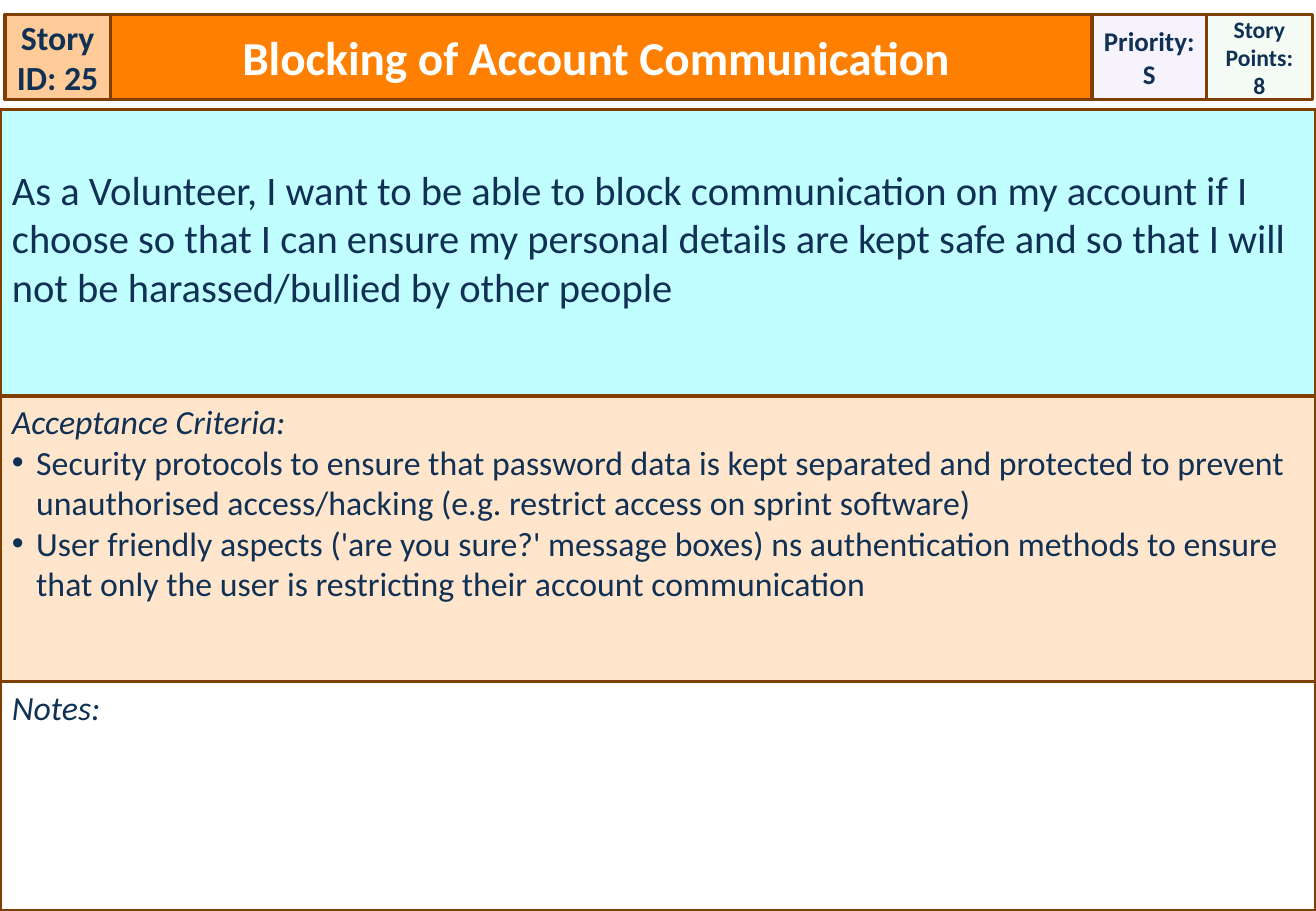
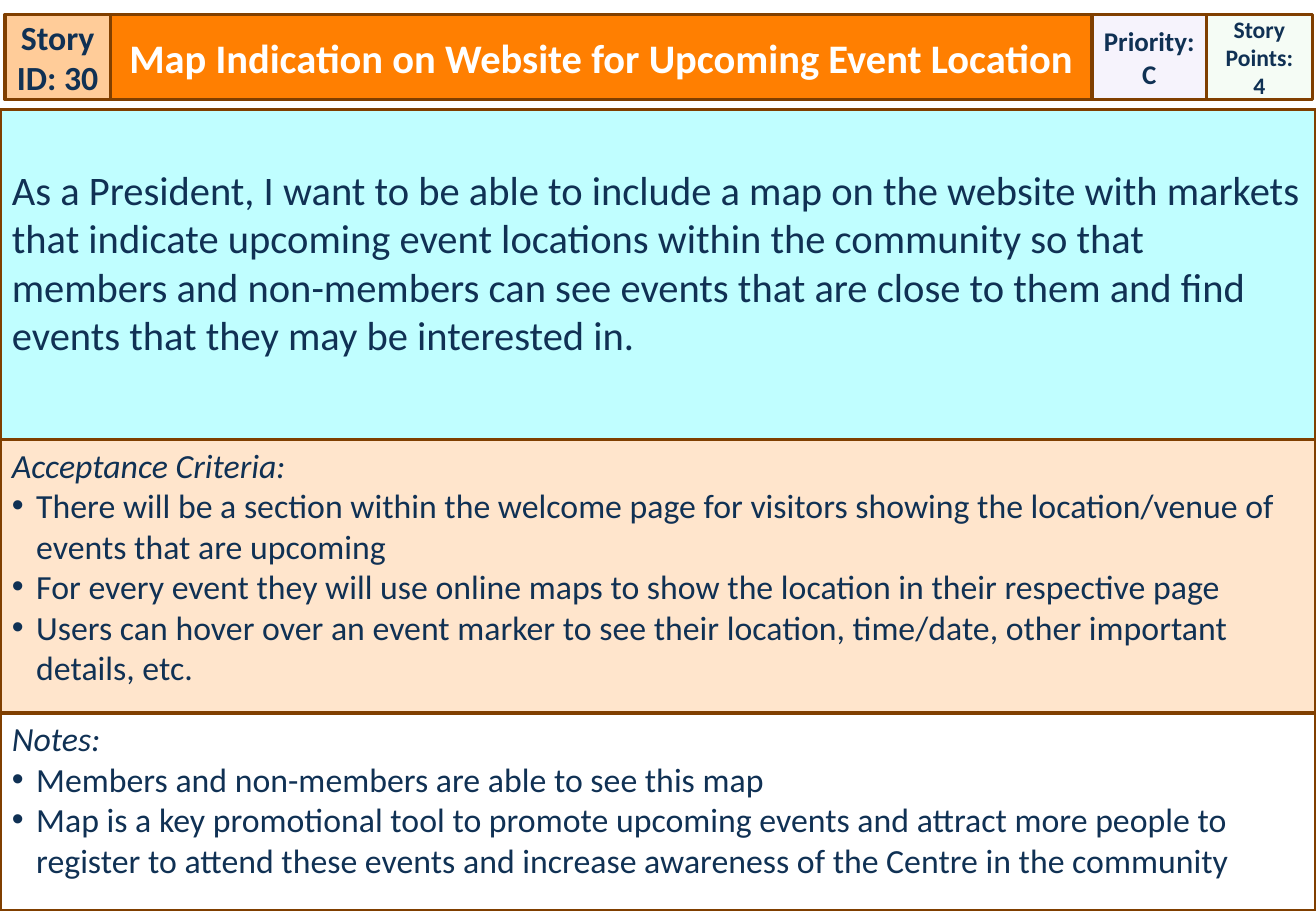
from lxml import etree
from pptx import Presentation
from pptx.dml.color import RGBColor
from pptx.enum import shapes, text
from pptx.oxml import ns
from pptx.util import Pt

NAVY = RGBColor(0x10, 0x31, 0x54)
WHITE = RGBColor(0xFF, 0xFF, 0xFF)
BROWN = RGBColor(0x80, 0x3F, 0x00)
ORANGE = RGBColor(0xFF, 0x7F, 0x01)
APRICOT = RGBColor(0xFF, 0xCC, 0x99)
LILAC = RGBColor(0xF6, 0xF3, 0xFC)
MINT = RGBColor(0xF5, 0xFC, 0xF5)
CYAN = RGBColor(0xC0, 0xFE, 0xFF)
PEACH = RGBColor(0xFF, 0xE5, 0xCC)

WIDTH, HEIGHT = 779.76, 540
HEADER = (2.88, 8.64, 774.72, 50.4)
BAND_TOP = 64.8
ID_W, PRIORITY_W, POINTS_W = 62.64, 68, 62.64
INDENT = 14.4

CELL = dict(margin_left=0, margin_right=0, margin_top=Pt(3.6), margin_bottom=Pt(3.6),
            vertical_anchor=text.MSO_ANCHOR.MIDDLE)
TITLE = dict(CELL, margin_left=Pt(7.2), margin_right=Pt(7.2))
STORY = dict(TITLE, margin_top=Pt(32.8), vertical_anchor=text.MSO_ANCHOR.TOP)
LISTING = dict(STORY, margin_top=Pt(2.88))

CARDS = [
    dict(id="25", priority="S", points="8", size=28, splits=(234.7, 403.9),
         title="Blocking of Account Communication ",
         story="As a Volunteer, I want to be able to block communication on my account "
               "if I choose so that I can ensure my personal details are kept safe and so "
               "that I will not be harassed/bullied by other people",
         criteria=["Security protocols to ensure that password data is kept separated and "
                   "protected to prevent unauthorised access/hacking (e.g. restrict access "
                   "on sprint software)",
                   "User friendly aspects ('are you sure?' message boxes) ns authentication "
                   "methods to ensure that only the user is restricting their account "
                   "communication"],
         notes=[]),
    dict(id="30", priority="C", points="4", size=24, splits=(260.6, 422.6),
         title="Map Indication on Website for Upcoming Event Location",
         story="As a President, I want to be able to include a map on the website with "
               "markets that indicate upcoming event locations within the community so that "
               "members and non-members can see events that are close to them and find "
               "events that they may be interested in.",
         criteria=["There will be a section within the welcome page for visitors showing "
                   "the location/venue of events that are upcoming",
                   "For every event they will use online maps to show the location in "
                   "their respective page",
                   "Users can hover over an event marker to see their location, time/date, "
                   "other important details, etc."],
         notes=["Members and non-members are able to see this map",
                "Map is a key promotional tool to promote upcoming events and attract more "
                "people to register to attend these events and increase awareness of the "
                "Centre in the community"]),
]


def set_attrs(obj, attrs):
    """Set each named attribute on an object."""
    for name, value in attrs.items():
        setattr(obj, name, value)


def style_box(sp, fill, frame):
    """Give a shape its fill, brown outline and text frame format."""
    sp.fill.solid()
    sp.fill.fore_color.rgb = fill
    sp.line.color.rgb = BROWN
    sp.line.width = Pt(2)
    set_attrs(sp.text_frame, dict(frame, word_wrap=True, auto_size=text.MSO_AUTO_SIZE.NONE))


def add_box(s, box, fill, frame):
    """Add a framed rectangle and return it."""
    sp = s.shapes.add_shape(shapes.MSO_SHAPE.RECTANGLE, *map(Pt, box))
    sp.shadow.inherit = False
    style_box(sp, fill, frame)
    return sp


def add_bullet(p):
    """Give a paragraph a round bullet with a hanging indent."""
    pPr = p._p.get_or_add_pPr()
    pPr.set("marL", str(Pt(INDENT)))
    pPr.set("indent", str(-Pt(INDENT)))
    etree.SubElement(pPr, ns.qn("a:buFont")).set("typeface", "Arial")
    etree.SubElement(pPr, ns.qn("a:buChar")).set("char", "•")


def write(sp, lines, size, align=text.PP_ALIGN.LEFT, color=NAVY, bullets=False, **font):
    """Write one paragraph per line, with bullets after the first if asked."""
    tf = sp.text_frame
    for i, line in enumerate(lines):
        p = tf.add_paragraph() if i else tf.paragraphs[0]
        p.alignment = align
        if bullets and i:
            add_bullet(p)
        r = p.add_run()
        r.text = line
        set_attrs(r.font, dict(font, name="Calibri", size=Pt(size)))
        if bullets:
            r.font.italic = i == 0
        r.font.color.rgb = color


def add_header(s, box, card):
    """Place the ID, title, priority and points cells side by side."""
    x, y, w, h = box
    title_w = w - ID_W - PRIORITY_W - POINTS_W
    style = dict(align=text.PP_ALIGN.CENTER, bold=True)
    sp = s.shapes.title
    set_attrs(sp, dict(left=Pt(x + ID_W), top=Pt(y), width=Pt(title_w), height=Pt(h)))
    style_box(sp, ORANGE, TITLE)
    write(sp, [card["title"]], card["size"], color=WHITE, **style)
    cells = [
        (x, ID_W, APRICOT, ["Story ID: " + card["id"]], 20),
        (x + w - POINTS_W, POINTS_W, MINT, ["Story Points:", card["points"]], 14),
        (x + ID_W + title_w, PRIORITY_W, LILAC, ["Priority:", card["priority"]], 16),
    ]
    for left, width, fill, lines, size in cells:
        write(add_box(s, (left, y, width, h), fill, CELL), lines, size, **style)


def add_bands(s, box, card):
    """Stack the story, criteria and notes bands down the box."""
    x, y, w, h = box
    edges = [y, *card["splits"], y + h]
    bands = [
        (CYAN, STORY, [card["story"]], 24, False),
        (PEACH, LISTING, ["Acceptance Criteria:", *card["criteria"]], 20, True),
        (WHITE, LISTING, ["Notes:", *card["notes"]], 20, True),
    ]
    for top, bottom, (fill, frame, lines, size, bullets) in zip(edges, edges[1:], bands):
        sp = add_box(s, (x, top, w, bottom - top), fill, frame)
        write(sp, lines, size, bullets=bullets)


def main():
    """Build one story card per slide."""
    prs = Presentation()
    prs.slide_width, prs.slide_height = Pt(WIDTH), Pt(HEIGHT)
    for card in CARDS:
        s = prs.slides.add_slide(prs.slide_layouts.get_by_name("Title Only"))
        add_header(s, HEADER, card)
        add_bands(s, (0, BAND_TOP, WIDTH, HEIGHT - BAND_TOP), card)
    prs.save("out.pptx")


if __name__ == "__main__":
    main()
